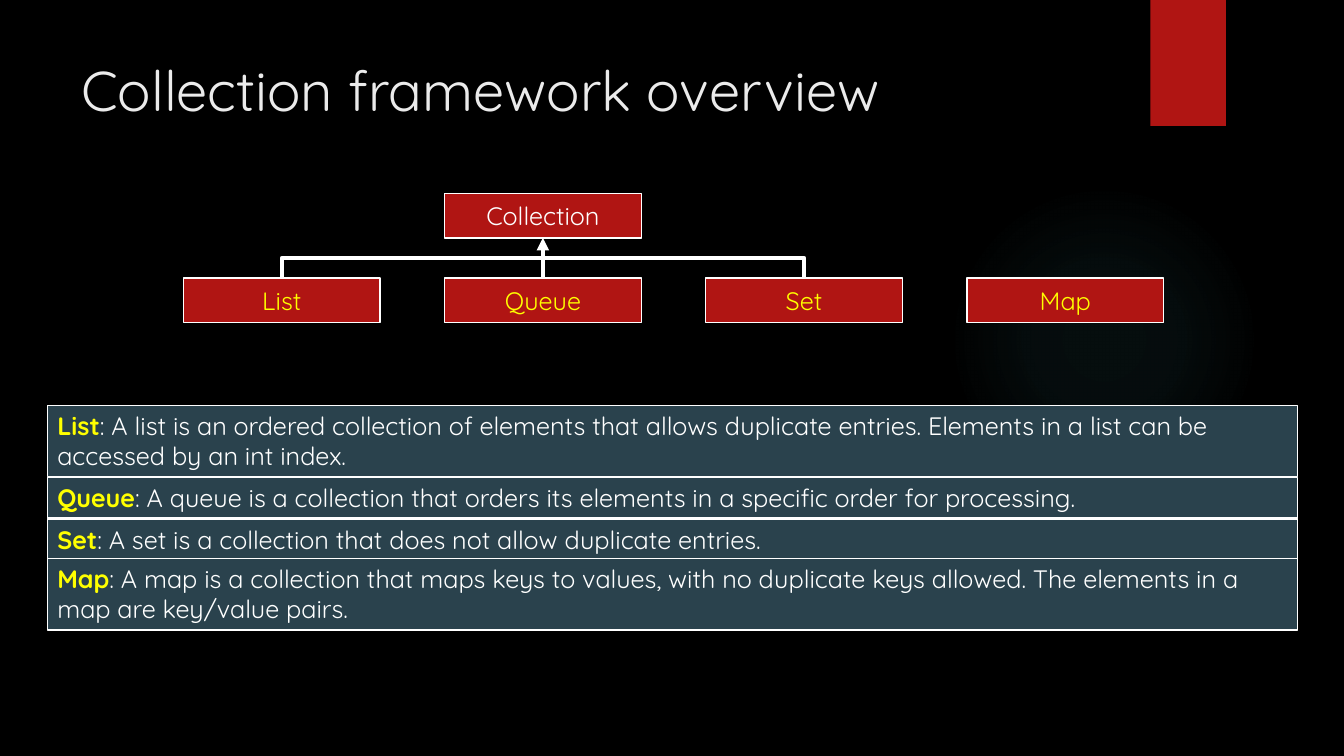
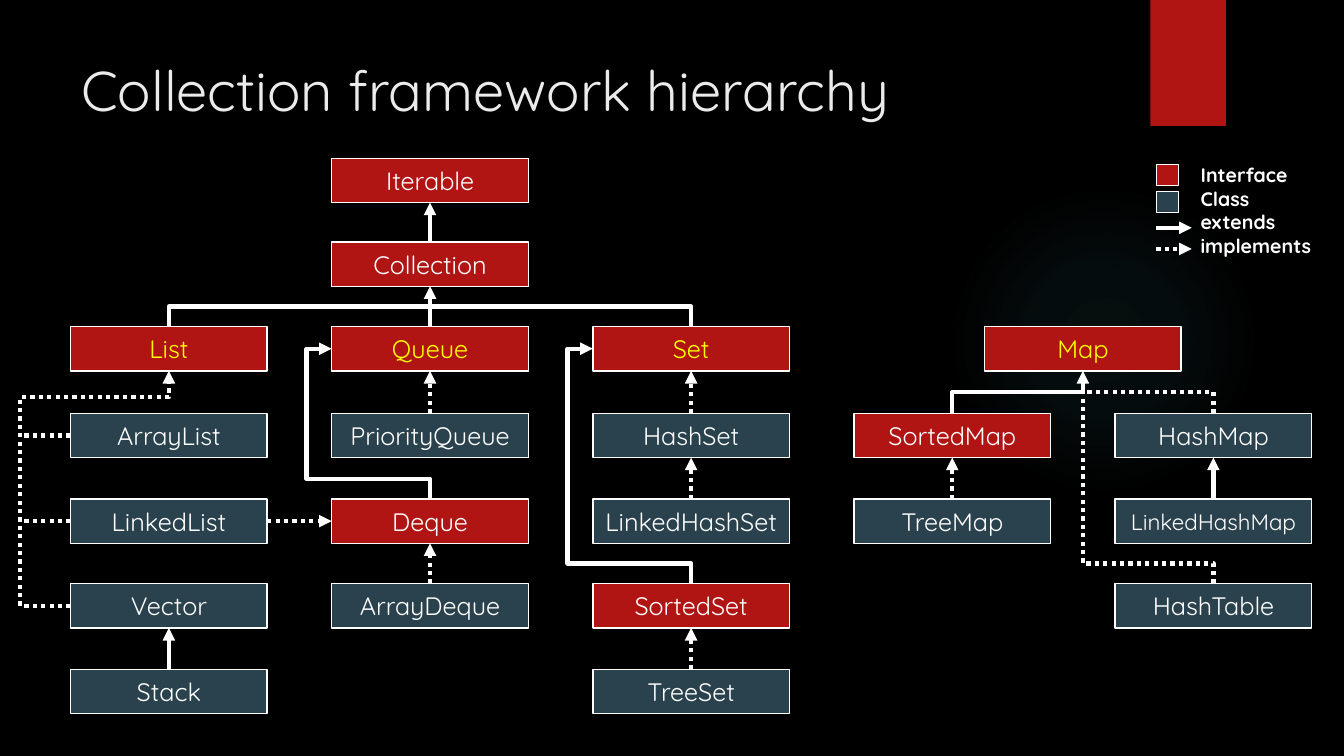
from lxml import etree
from pptx import Presentation
from pptx.dml.color import RGBColor
from pptx.enum.dml import MSO_LINE
from pptx.enum.shapes import MSO_CONNECTOR, MSO_SHAPE
from pptx.enum.text import MSO_ANCHOR, MSO_AUTO_SIZE, PP_ALIGN
from pptx.oxml import parse_xml
from pptx.oxml.ns import nsdecls, qn
from pptx.util import Inches, Pt

STRAIGHT = MSO_CONNECTOR.STRAIGHT
PROCESS, RECTANGLE, OVAL = MSO_SHAPE.FLOWCHART_PROCESS, MSO_SHAPE.RECTANGLE, MSO_SHAPE.OVAL
DOTS = MSO_LINE.ROUND_DOT
MIDDLE, CENTER = MSO_ANCHOR.MIDDLE, PP_ALIGN.CENTER
FIT_SHAPE = MSO_AUTO_SIZE.SHAPE_TO_FIT_TEXT
TOP, LEFT, BOTTOM, RIGHT = range(4)

BLACK = RGBColor(0x00, 0x00, 0x00)
WHITE = RGBColor(0xFF, 0xFF, 0xFF)
OFF_WHITE = RGBColor(0xEB, 0xEB, 0xEB)
YELLOW = RGBColor(0xFF, 0xFF, 0x00)
RED = RGBColor(0xB0, 0x15, 0x13)
SLATE = RGBColor(0x2A, 0x42, 0x4D)

TITLE_FORMAT = {"size": Pt(40), "color": OFF_WHITE}
NODE_FORMAT = {"size": Pt(18), "color": WHITE}
KEY_FORMAT = {"size": Pt(18), "color": YELLOW}
TERM_FORMAT = {**KEY_FORMAT, "bold": True}
LEGEND_FORMAT = {"size": Pt(14), "color": WHITE, "bold": True}

GLOW_COLOR = "50B9C1"
GLOW_STOPS = [(0, 7), (36, 6), (69, 0)]  # position and opacity, percent

NODE_WIDTH, NODE_HEIGHT, COLUMN_STEP = 1.95, 0.44, 2.59
KEY_NODES = {"List", "Queue", "Set", "Map"}
INTERFACES = KEY_NODES | {"Iterable", "Collection", "Deque", "SortedSet", "SortedMap"}
SMALL_NODES = {"LinkedHashMap"}

# Node: (column, row)
OVERVIEW_LEFT, OVERVIEW_ROWS = 1.82, [1.92, 2.76]
OVERVIEW_NODES = {
    "Collection": (1, 0), "List": (0, 1), "Queue": (1, 1), "Set": (2, 1), "Map": (3, 1),
}
DEFINITIONS = [  # term, meaning, top, height
    ("List", ": A list is an ordered collection of elements that allows duplicate entries. "
     "Elements in a list can be accessed by an int index.", 4.02, 0.71),
    ("Queue", ": A queue is a collection that orders its elements in a specific order "
     "for processing.", 4.74, 0.4),
    ("Set", ": A set is a collection that does not allow duplicate entries.", 5.15, 0.4),
    ("Map", ": A map is a collection that maps keys to values, with no duplicate keys "
     "allowed. The elements in a map are key/value pairs.", 5.54, 0.71),
]

HIERARCHY_LEFT = 0.7
HIERARCHY_ROWS = [1.57, 2.4, 3.24, 4.1, 4.95, 5.79, 6.64]
HIERARCHY_NODES = {
    "Iterable": (1, 0), "Collection": (1, 1),
    "List": (0, 2), "Queue": (1, 2), "Set": (2, 2), "Map": (3.5, 2),
    "ArrayList": (0, 3), "PriorityQueue": (1, 3), "HashSet": (2, 3),
    "SortedMap": (3, 3), "HashMap": (4, 3),
    "LinkedList": (0, 4), "Deque": (1, 4), "LinkedHashSet": (2, 4),
    "TreeMap": (3, 4), "LinkedHashMap": (4, 4),
    "Vector": (0, 5), "ArrayDeque": (1, 5), "SortedSet": (2, 5), "HashTable": (4, 5),
    "Stack": (0, 6), "TreeSet": (2, 6),
}
EXTENDS = [("Collection", "Iterable"), ("Queue", "Collection"), ("Stack", "Vector"),
           ("LinkedHashMap", "HashMap")]
IMPLEMENTS = [("PriorityQueue", "Queue"), ("ArrayDeque", "Deque"), ("HashSet", "Set"),
              ("LinkedHashSet", "HashSet"), ("TreeSet", "SortedSet"),
              ("TreeMap", "SortedMap")]
DETOURS = [("Deque", "Queue"), ("SortedSet", "Set")]
LEGEND_LABELS = ["Interface", "Class", "extends", "implements"]
LEGEND_LEFT = 11.47
LEGEND_SWATCHES = [(RED, 1.63), (SLATE, 1.9)]
LEGEND_ARROWS = [(False, 2.26), (True, 2.47)]


def add_run(paragraph, text, text_format):
    run = paragraph.add_run()
    run.text = text
    run.font.name = "Quicksand"
    for attribute, value in text_format.items():
        if attribute == "color":
            run.font.color.rgb = value
        else:
            setattr(run.font, attribute, value)


def add_text(slide, left, top, width, height):
    text_box = slide.shapes.add_textbox(*map(Inches, (left, top, width, height)))
    text_box.text_frame.word_wrap = True
    return text_box


def paint(shape, fill, outlined=True):
    shape.fill.solid()
    shape.fill.fore_color.rgb = fill
    if outlined:
        shape.line.color.rgb = WHITE
        shape.line.width = Pt(1)
    else:
        shape.line.fill.background()


def add_block(slide, preset, left, top, width, height, fill, outlined=True):
    block = slide.shapes.add_shape(preset, *map(Inches, (left, top, width, height)))
    block.shadow.inherit = False
    paint(block, fill, outlined)
    return block


def add_glow(slide):
    """Add the faint round light that fades out towards its edge."""
    glow = add_block(slide, OVAL, 9.41, 1.83, 3.08, 3.08, BLACK, False)
    stops = "".join(
        f'<a:gs pos="{position * 1000}"><a:srgbClr val="{GLOW_COLOR}">'
        f'<a:alpha val="{opacity * 1000}"/></a:srgbClr></a:gs>'
        for position, opacity in GLOW_STOPS)
    gradient = parse_xml(
        f'<a:gradFill {nsdecls("a")} rotWithShape="1"><a:gsLst>{stops}</a:gsLst>'
        '<a:path path="circle"><a:fillToRect l="50000" t="50000" r="50000" b="50000"/>'
        '</a:path></a:gradFill>')
    properties = glow._element.spPr
    properties.replace(properties.find(qn("a:solidFill")), gradient)


def add_titled_slide(presentation, title):
    slide = presentation.slides.add_slide(presentation.slide_layouts[6])
    add_glow(slide)
    add_block(slide, RECTANGLE, 11.41, 0, 0.75, 1.25, RED, False)
    title_box = add_text(slide, 0.71, 0.5, 10.76, 0.88)
    add_run(title_box.text_frame.paragraphs[0], title, TITLE_FORMAT)
    return slide


def add_nodes(slide, places, left, rows):
    """Draw the labelled boxes and return them by name."""
    nodes = {}
    for name, (column, row) in places.items():
        node = add_block(slide, PROCESS, left + column * COLUMN_STEP, rows[row],
                         NODE_WIDTH, NODE_HEIGHT, RED if name in INTERFACES else SLATE)
        node.text_frame.word_wrap = True
        node.text_frame.vertical_anchor = MIDDLE
        label = node.text_frame.paragraphs[0]
        label.alignment = CENTER
        text_format = KEY_FORMAT if name in KEY_NODES else NODE_FORMAT
        if name in SMALL_NODES:
            text_format = {**text_format, "size": Pt(16)}
        add_run(label, name, text_format)
        nodes[name] = node
    return nodes


def side_middle(node, side):
    x = node.left + {LEFT: 0, RIGHT: node.width}.get(side, node.width // 2)
    y = node.top + {TOP: 0, BOTTOM: node.height}.get(side, node.height // 2)
    return x, y


def style_link(link, dotted, arrow):
    link.line.color.rgb = WHITE
    link.line.width = Pt(3)
    if dotted:
        link.line.dash_style = DOTS
    if arrow:
        etree.SubElement(link._element.spPr.find(qn("a:ln")), qn("a:tailEnd"),
                         type="triangle")


def add_line(slide, start, end, dotted=False, arrow=True):
    line = slide.shapes.add_connector(STRAIGHT, *start, *end)
    style_link(line, dotted, arrow)
    etree.SubElement(line._element.spPr, qn("a:effectLst"))
    return line


def link_nodes(slide, child, parent, dotted=False, sides=(TOP, BOTTOM)):
    line = add_line(slide, side_middle(child, sides[0]), side_middle(parent, sides[1]),
                    dotted)
    line.begin_connect(child, sides[0])
    line.end_connect(parent, sides[1])


def add_route(slide, points, dotted=False, arrow=False):
    """Draw one bent link through all the points."""
    builder = slide.shapes.build_freeform(*points[0])
    builder.add_line_segments(points[1:], close=False)
    route = builder.convert_to_shape()
    route.shadow.inherit = False
    route.fill.background()
    style_link(route, dotted, arrow)


def branch_points(child, parent):
    """Go from the child's top to the point halfway below the parent."""
    child_x, child_y = side_middle(child, TOP)
    parent_x, parent_y = side_middle(parent, BOTTOM)
    bus_y = (child_y + parent_y) // 2
    return [(child_x, child_y), (child_x, bus_y), (parent_x, bus_y)]


def link_collection(slide, nodes):
    for name in ("List", "Set"):
        add_route(slide, branch_points(nodes[name], nodes["Collection"]))


def link_detours(slide, nodes):
    """Lead each child's link round the left of the boxes above it."""
    for child, parent in DETOURS:
        x, y = side_middle(nodes[child], TOP)
        end_x, end_y = side_middle(nodes[parent], LEFT)
        turn_x, turn_y = end_x - Inches(0.25), y - Inches(0.2)
        add_route(slide, [(x, y), (x, turn_y), (turn_x, turn_y), (turn_x, end_y),
                          (end_x, end_y)], arrow=True)


def link_lists(slide, nodes):
    trunk_x = Inches(0.2)
    start = side_middle(nodes["Vector"], LEFT)
    end = side_middle(nodes["List"], BOTTOM)
    turn_y = end[1] + Inches(0.26)
    add_route(slide, [start, (trunk_x, start[1]), (trunk_x, turn_y), (end[0], turn_y), end],
              dotted=True, arrow=True)
    for name in ("ArrayList", "LinkedList"):
        x, y = side_middle(nodes[name], LEFT)
        stub = add_line(slide, (x, y), (trunk_x, y), dotted=True, arrow=False)
        stub.begin_connect(nodes[name], LEFT)
    link_nodes(slide, nodes["LinkedList"], nodes["Deque"], True, (RIGHT, LEFT))


def link_maps(slide, nodes):
    root = nodes["Map"]
    sorted_points = branch_points(nodes["SortedMap"], root)
    add_route(slide, sorted_points + [side_middle(root, BOTTOM)], arrow=True)
    add_route(slide, branch_points(nodes["HashMap"], root), dotted=True)
    junction = sorted_points[-1]
    x, y = side_middle(nodes["HashTable"], TOP)
    turn_y = y - Inches(0.2)
    add_route(slide, [(x, y), (x, turn_y), (junction[0], turn_y), junction], dotted=True)


def add_legend(slide):
    for fill, top in LEGEND_SWATCHES:
        add_block(slide, PROCESS, LEGEND_LEFT, top, 0.22, 0.21, fill)
    for dotted, y in LEGEND_ARROWS:
        add_line(slide, (Inches(LEGEND_LEFT), Inches(y)),
                 (Inches(LEGEND_LEFT + 0.35), Inches(y)), dotted)
    frame = add_text(slide, 11.81, 1.57, 1.36, 1.04).text_frame
    for index, label in enumerate(LEGEND_LABELS):
        paragraph = frame.add_paragraph() if index else frame.paragraphs[0]
        add_run(paragraph, label, LEGEND_FORMAT)


def build_overview(presentation):
    slide = add_titled_slide(presentation, "Collection framework overview")
    nodes = add_nodes(slide, OVERVIEW_NODES, OVERVIEW_LEFT, OVERVIEW_ROWS)
    link_nodes(slide, nodes["Queue"], nodes["Collection"])
    link_collection(slide, nodes)
    for term, meaning, top, height in DEFINITIONS:
        definition = add_text(slide, 0.47, top, 12.4, height)
        definition.text_frame.auto_size = FIT_SHAPE
        paint(definition, SLATE)
        paragraph = definition.text_frame.paragraphs[0]
        add_run(paragraph, term, TERM_FORMAT)
        add_run(paragraph, meaning, NODE_FORMAT)


def build_hierarchy(presentation):
    slide = add_titled_slide(presentation, "Collection framework hierarchy")
    nodes = add_nodes(slide, HIERARCHY_NODES, HIERARCHY_LEFT, HIERARCHY_ROWS)
    for pairs, dotted in ((EXTENDS, False), (IMPLEMENTS, True)):
        for child, parent in pairs:
            link_nodes(slide, nodes[child], nodes[parent], dotted)
    for link_group in (link_collection, link_detours, link_lists, link_maps):
        link_group(slide, nodes)
    add_legend(slide)


def main():
    presentation = Presentation()
    presentation.slide_width, presentation.slide_height = Inches(13.33), Inches(7.5)
    backdrop = presentation.slide_master.background.fill
    backdrop.solid()
    backdrop.fore_color.rgb = BLACK
    build_overview(presentation)
    build_hierarchy(presentation)
    presentation.save("out.pptx")


if __name__ == "__main__":
    main()
